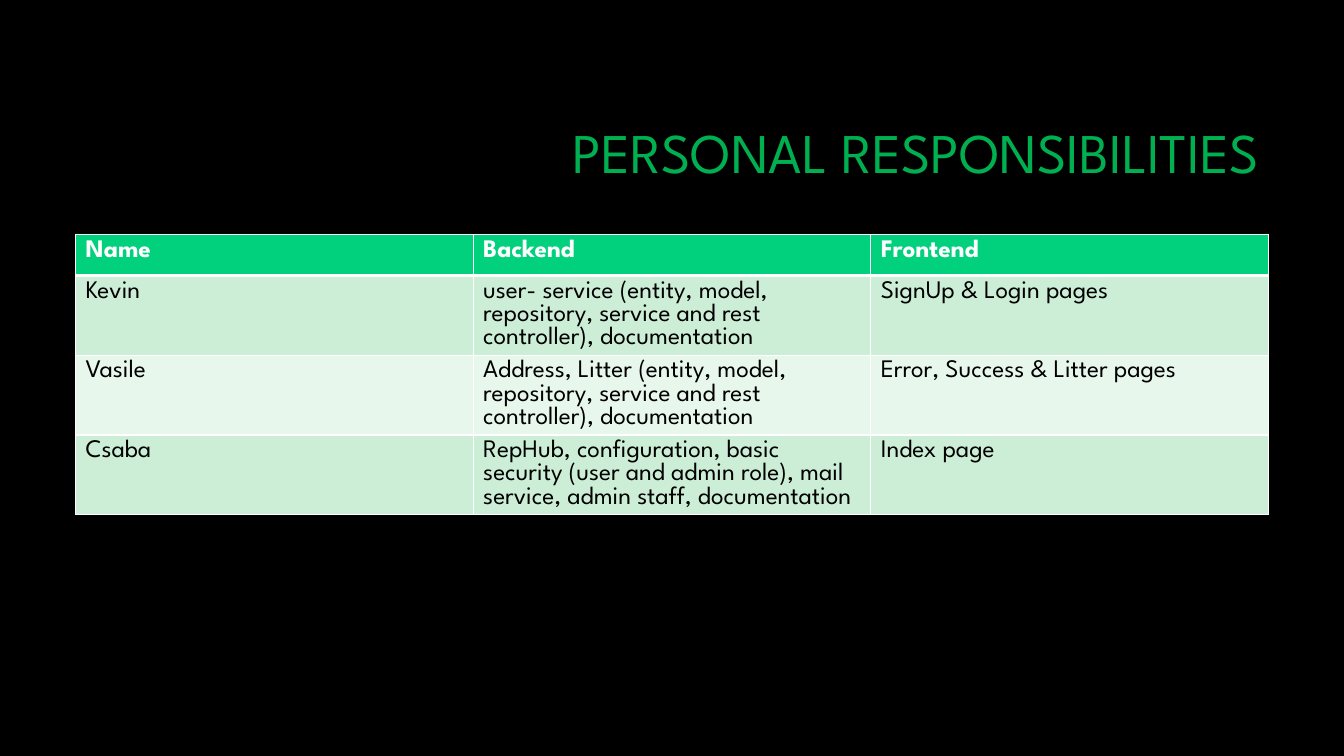
from dataclasses import dataclass

from lxml import etree
from pptx import Presentation
from pptx.dml.color import RGBColor
from pptx.enum.text import MSO_ANCHOR, PP_ALIGN
from pptx.oxml.ns import qn
from pptx.util import Pt

LEFT, RIGHT = PP_ALIGN.LEFT, PP_ALIGN.RIGHT
TOP, MIDDLE = MSO_ANCHOR.TOP, MSO_ANCHOR.MIDDLE
TITLE_ONLY = 5


@dataclass(frozen=True)
class Theme:
    font: str = "League Spartan"
    background: str = "000000"
    title: str = "00B050"
    header: str = "01D17D"
    bands: tuple = ("CCEED7", "E7F7EC")
    light: str = "FFFFFF"
    dark: str = "000000"
    title_size: int = 40
    table_size: int = 18


THEME = Theme()


def write(frame, text, color, size, bold=False, align=LEFT, anchor=TOP, spacing=1.0):
    frame.word_wrap = True
    frame.vertical_anchor = anchor
    paragraph = frame.paragraphs[0]
    paragraph.alignment = align
    paragraph.line_spacing = spacing
    run = paragraph.add_run()
    run.text = text
    run.font.name = THEME.font
    run.font.size = Pt(size)
    run.font.bold = bold
    run.font.color.rgb = RGBColor.from_string(color)


def draw_borders(cell, **widths):
    """Add solid borders; sides must come in the order lnL, lnR, lnT, lnB."""
    properties = cell._tc.get_or_add_tcPr()
    for side, width in widths.items():
        line = etree.SubElement(properties, qn(f"a:{side}"), w=str(Pt(width)))
        fill = etree.SubElement(line, qn("a:solidFill"))
        etree.SubElement(fill, qn("a:srgbClr"), val=THEME.light)


deck = Presentation()
deck.slide_width, deck.slide_height = Pt(960), Pt(540)
slide = deck.slides.add_slide(deck.slide_layouts[TITLE_ONLY])
slide.background.fill.solid()
slide.background.fill.fore_color.rgb = RGBColor.from_string(THEME.background)

title = slide.shapes.title
title.left, title.top, title.width, title.height = Pt(228), Pt(60.5), Pt(678.5), Pt(101.5)
write(title.text_frame, "PERSONAL RESPONSIBILITIES", THEME.title, THEME.title_size,
      align=RIGHT, anchor=MIDDLE, spacing=0.9)

responsibilities = [
    ("Name", "Backend", "Frontend"),
    ("Kevin",
     "user- service (entity, model, repository, service and rest controller), documentation",
     "SignUp & Login pages"),
    ("Vasile",
     "Address, Litter (entity, model, repository, service and rest controller), documentation",
     "Error, Success & Litter pages"),
    ("Csaba",
     "RepHub, configuration, basic security (user and admin role), mail service, "
     "admin staff, documentation",
     "Index page"),
]
HEADER_HEIGHT, MEMBER_HEIGHT, COLUMN_WIDTH = 29.2, 56.8, 284
row_count, column_count = len(responsibilities), len(responsibilities[0])
table = slide.shapes.add_table(
    row_count, column_count, Pt(54), Pt(167.5), Pt(COLUMN_WIDTH * column_count),
    Pt(HEADER_HEIGHT + MEMBER_HEIGHT * (row_count - 1))).table

for column in table.columns:
    column.width = Pt(COLUMN_WIDTH)

for row_index, entries in enumerate(responsibilities):
    is_header = row_index == 0
    table.rows[row_index].height = Pt(HEADER_HEIGHT if is_header else MEMBER_HEIGHT)
    band = THEME.header if is_header else THEME.bands[(row_index - 1) % 2]
    for column_index, entry in enumerate(entries):
        cell = table.cell(row_index, column_index)
        draw_borders(cell, lnL=1, lnR=1, lnT=3 if row_index == 1 else 1,
                     lnB=3 if is_header else 1)
        cell.fill.solid()
        cell.fill.fore_color.rgb = RGBColor.from_string(band)
        write(cell.text_frame, entry, THEME.light if is_header else THEME.dark,
              THEME.table_size, bold=is_header)

deck.save("out.pptx")
